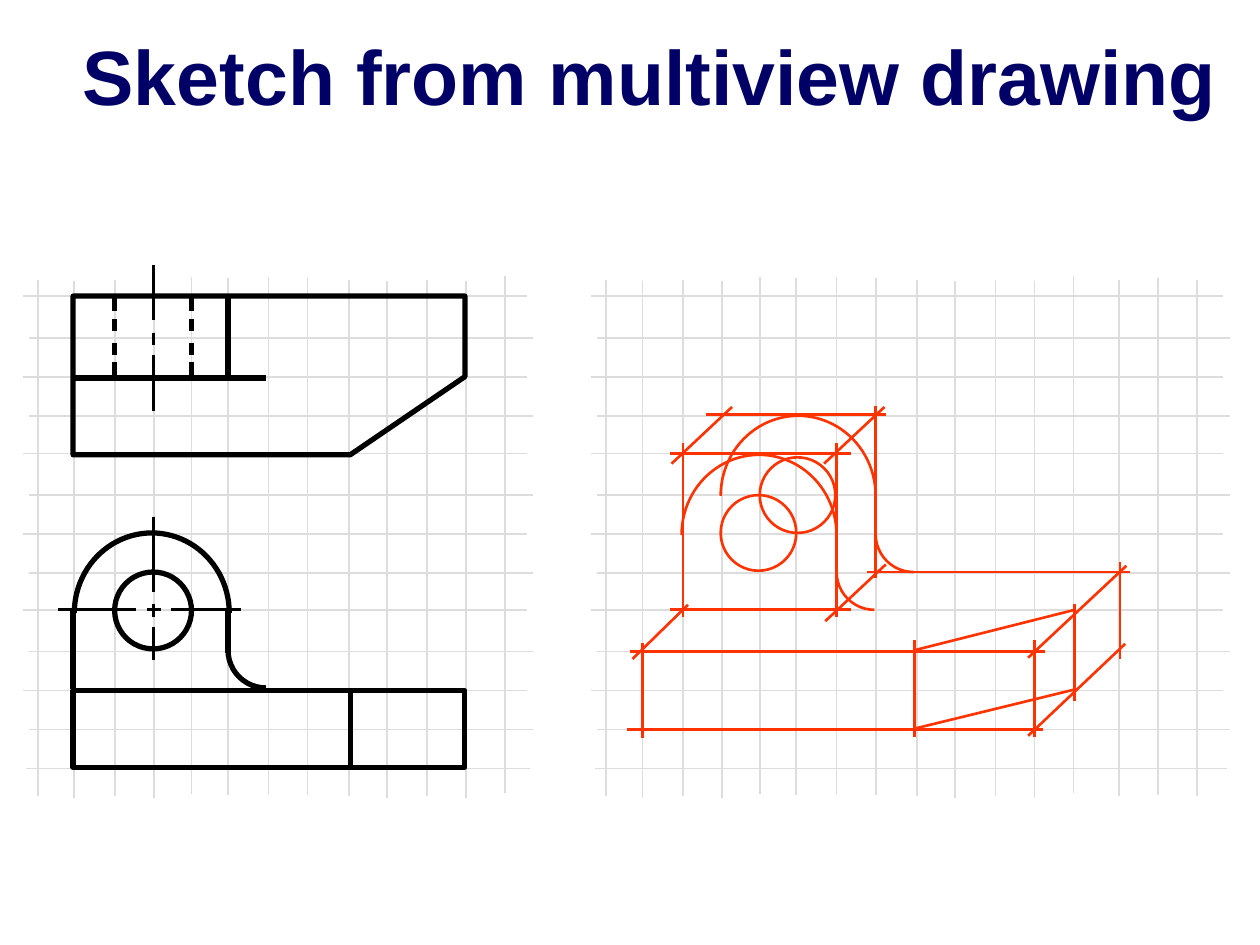
"""Build a slide that pairs a multiview drawing with its oblique sketch."""
import dataclasses

import lxml.etree
import pptx
import pptx.dml.color
import pptx.enum.shapes
import pptx.enum.text
import pptx.oxml.ns
import pptx.util

Inches = pptx.util.Inches
Shape = pptx.enum.shapes.MSO_SHAPE


@dataclasses.dataclass(frozen=True)
class Theme:
    font: str = "Arial"
    title_size: int = 44
    title_color: str = "000066"
    grid: tuple = ("DDDDDD", 1)
    outline: tuple = ("000000", 3)
    center: tuple = ("000000", 1.5)
    sketch: tuple = ("FF3300", 1.5)


class Drawing:
    """Hold the theme, the slide and the shape collection being drawn on."""

    def __init__(self, slide, theme):
        self.slide = slide
        self.theme = theme
        self.shapes = slide.shapes

    def start_group(self):
        self.shapes = self.slide.shapes.add_group_shape().shapes

    def end_group(self):
        self.shapes = self.slide.shapes

    def set_line(self, shape, pen):
        color, width = pen
        shape.line.color.rgb = pptx.dml.color.RGBColor.from_string(color)
        shape.line.width = pptx.util.Pt(width)

    def add_line(self, x1, y1, x2, y2, pen):
        connector = self.shapes.add_connector(
            pptx.enum.shapes.MSO_CONNECTOR.STRAIGHT,
            Inches(x1), Inches(y1), Inches(x2), Inches(y2))
        self.set_line(connector, pen)
        lxml.etree.SubElement(connector._element.spPr, pptx.oxml.ns.qn("a:effectLst"))

    def add_lines(self, lines, pen):
        for line in lines:
            self.add_line(*line, pen)

    def finish_outline(self, shape, pen):
        shape.shadow.inherit = False
        shape.fill.background()
        self.set_line(shape, pen)

    def add_outline(self, kind, left, top, width, height, pen):
        shape = self.shapes.add_shape(
            kind, Inches(left), Inches(top), Inches(width), Inches(height))
        self.finish_outline(shape, pen)
        return shape

    def add_arc(self, left, top, width, height, start, end, pen):
        """Draw an arc clockwise between two angles given in degrees."""
        arc = self.add_outline(Shape.ARC, left, top, width, height, pen)
        arc.adjustments[0] = start * 0.6
        arc.adjustments[1] = end * 0.6

    def add_round_top(self, left, top, pen):
        self.add_arc(left, top, 1.23, 1.27, 180, 0, pen)

    def add_fillet(self, left, top, pen):
        self.add_arc(left, top, 0.6, 0.6, 90, 180, pen)

    def add_polygon(self, points, pen):
        corners = [(Inches(x), Inches(y)) for x, y in points]
        builder = self.shapes.build_freeform(*corners[0])
        builder.add_line_segments(corners[1:], close=True)
        self.finish_outline(builder.convert_to_shape(), pen)

    def add_text(self, text, left, top, width, height, *, size, color, bold=False,
                 align=pptx.enum.text.PP_ALIGN.CENTER):
        box = self.shapes.add_textbox(
            Inches(left), Inches(top), Inches(width), Inches(height))
        frame = box.text_frame
        frame.word_wrap = False
        frame.auto_size = pptx.enum.text.MSO_AUTO_SIZE.NONE
        frame.margin_left = frame.margin_right = 0
        paragraph = frame.paragraphs[0]
        paragraph.alignment = align
        run = paragraph.add_run()
        run.text = text
        run.font.name = self.theme.font
        run.font.size = pptx.util.Pt(size)
        run.font.bold = bold
        run.font.color.rgb = pptx.dml.color.RGBColor.from_string(color)


ROWS = (2.35, 2.68, 2.99, 3.3, 3.6, 3.93, 4.24, 4.55, 4.84, 5.17, 5.48, 5.79, 6.1)
COLUMNS = (
    (0.3, 2.22), (0.59, 2.23), (0.91, 2.22), (1.22, 2.23), (1.52, 2.2), (1.81, 2.21),
    (2.13, 2.2), (2.44, 2.21), (2.77, 2.22), (3.07, 2.23), (3.39, 2.22), (3.7, 2.23),
    (4.01, 2.19), (4.37, 2.22), (4.68, 2.21), (4.99, 2.22))
COLUMN_LENGTH = 4.1


def draw_grid(drawing, offset, row_start, row_length, column_count):
    pen = drawing.theme.grid
    drawing.start_group()
    for index, y in enumerate(ROWS):
        shift = 0.03 if y == ROWS[-1] else 0.05 * (index % 2)
        x = row_start + shift
        drawing.add_line(x, y, x + row_length, y, pen)
    for x, top in COLUMNS[:column_count]:
        drawing.add_line(x + offset, top, x + offset, top + COLUMN_LENGTH, pen)


def draw_top_view(drawing):
    outline = drawing.theme.outline
    drawing.start_group()
    drawing.add_polygon(
        [(0.58, 2.35), (3.69, 2.35), (3.69, 2.99), (2.78, 3.61), (0.58, 3.61)], outline)
    drawing.add_lines([(0.59, 3, 2.11, 3), (1.81, 2.34, 1.81, 2.99)], outline)
    dashes = ((2.36, 2.47), (2.53, 2.63), (2.72, 2.82), (2.87, 2.98))
    drawing.add_lines(
        [(x, top, x, bottom) for x in (0.91, 1.52) for top, bottom in dashes], outline)
    center_dashes = ((2.1, 2.54), (2.82, 3.26), (2.64, 2.74))
    drawing.add_lines(
        [(1.22, top, 1.22, bottom) for top, bottom in center_dashes], drawing.theme.center)


def draw_front_view(drawing):
    outline = drawing.theme.outline
    drawing.start_group()
    drawing.add_outline(Shape.RECTANGLE, 0.58, 5.48, 3.11, 0.61, outline)
    drawing.add_lines(
        [(2.78, 5.47, 2.78, 6.09), (0.58, 4.84, 0.58, 5.47), (1.81, 4.83, 1.81, 5.18)],
        outline)
    drawing.add_outline(Shape.OVAL, 0.91, 4.54, 0.61, 0.61, outline)
    drawing.add_round_top(0.59, 4.23, outline)
    drawing.add_fillet(1.81, 4.86, outline)
    vertical = ((4.1, 4.7), (4.98, 5.24), (4.79, 4.9))
    horizontal = ((0.46, 1.08), (1.36, 1.91), (1.17, 1.28))
    drawing.add_lines(
        [(1.22, top, 1.22, bottom) for top, bottom in vertical]
        + [(left, 4.84, right, 4.84) for left, right in horizontal], drawing.theme.center)


def draw_sketch(drawing):
    pen = drawing.theme.sketch
    drawing.end_group()
    horizontal = (
        (4.98, 8.28, 5.79), (5, 8.29, 5.17), (6.88, 8.97, 4.54), (5.32, 6.75, 4.84),
        (5.32, 6.75, 3.6), (5.6, 7.03, 3.29))
    vertical = (
        (8.21, 5.08, 5.85), (5.1, 5.1, 5.86), (8.89, 4.46, 5.23), (6.95, 3.22, 4.59),
        (5.42, 3.52, 4.9), (6.64, 3.52, 4.9), (7.26, 5.08, 5.85), (8.53, 4.79, 5.56))
    slanted = (
        (8.93, 5.11, 8.16, 5.84), (8.94, 4.49, 8.16, 5.22), (5.46, 4.8, 5.02, 5.23),
        (7.03, 4.48, 6.55, 4.93), (7.02, 3.23, 6.54, 3.68), (5.81, 3.23, 5.33, 3.68),
        (8.53, 4.84, 7.26, 5.16), (8.54, 5.47, 7.27, 5.78))
    drawing.add_lines([(left, y, right, y) for left, right, y in horizontal], pen)
    drawing.add_lines([(x, top, x, bottom) for x, top, bottom in vertical], pen)
    drawing.add_lines(slanted, pen)
    for left, top in ((5.72, 3.93), (6.03, 3.63)):
        drawing.add_outline(Shape.OVAL, left, top, 0.6, 0.6, pen)
    for left, top in ((5.41, 3.61), (5.72, 3.3)):
        drawing.add_round_top(left, top, pen)
    for left, top in ((6.64, 4.24), (6.95, 3.94)):
        drawing.add_fillet(left, top, pen)


def main():
    presentation = pptx.Presentation()
    presentation.slide_width = Inches(10)
    presentation.slide_height = Inches(7.5)
    slide = presentation.slides.add_slide(presentation.slide_layouts[6])
    theme = Theme()
    drawing = Drawing(slide, theme)
    draw_grid(drawing, offset=4.51, row_start=4.69, row_length=5.02, column_count=16)
    draw_grid(drawing, offset=0, row_start=0.18, row_length=4, column_count=13)
    draw_top_view(drawing)
    draw_front_view(drawing)
    draw_sketch(drawing)
    drawing.add_text("Sketch from multiview drawing", 0.56, 0.18, 9.2, 0.84,
                     size=theme.title_size, color=theme.title_color, bold=True)
    presentation.save("out.pptx")


if __name__ == "__main__":
    main()
